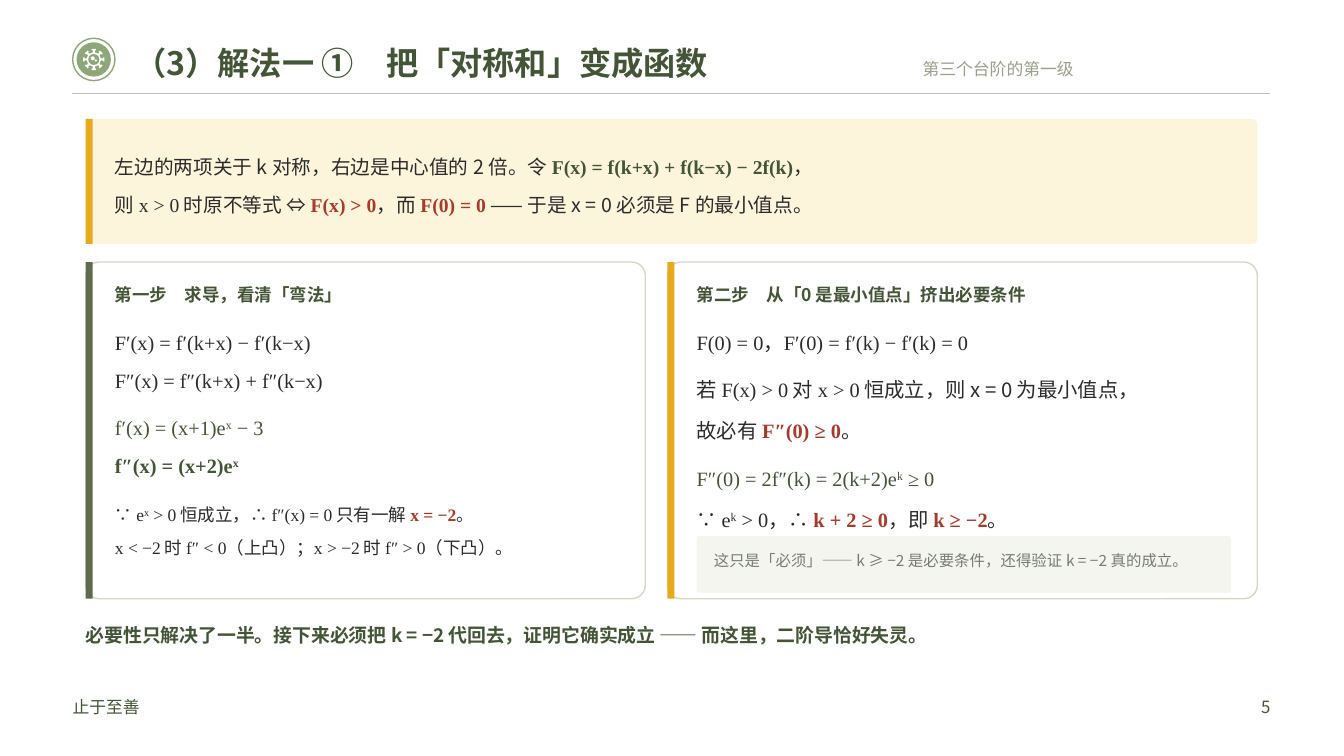
from dataclasses import dataclass
from math import cos, pi, sin

from lxml.etree import SubElement
from pptx import Presentation
from pptx.dml.color import RGBColor
from pptx.enum.shapes import MSO_CONNECTOR, MSO_SHAPE
from pptx.enum.text import MSO_ANCHOR, MSO_AUTO_SIZE, PP_ALIGN
from pptx.oxml.ns import qn
from pptx.util import Inches, Pt

COLORS = {
    "green": "445437", "moss": "5E6B4E", "leaf": "8DA778", "ink": "2B2B2B",
    "red": "A63A2B", "gold": "E8A91C", "cream": "FDF4DC", "white": "FFFFFF",
    "border": "D5D8C7", "rule": "BFBFBF", "mist": "F4F5EE",
    "muted": "767D6E", "hint": "9A9F8E",
}
SANS, SERIF = "Noto Sans CJK SC", "Times New Roman"


@dataclass(frozen=True)
class Piece:
    text: str
    color: str = "ink"
    bold: bool = False
    font: str = SANS
    raised: bool = False


@dataclass(frozen=True)
class Line:
    pieces: list[Piece]
    size: float
    spacing: float = 1.28
    before: float = 0


@dataclass(frozen=True)
class Card:
    left: float
    width: float
    accent: str
    lines: list[Line]


def math(text: str, color: str = "ink", bold: bool = False) -> Piece:
    return Piece(text, color, bold, SERIF)


def power(text: str, color: str = "ink", bold: bool = False) -> Piece:
    return Piece(text, color, bold, SERIF, True)


def key(text: str) -> Piece:
    return math(text, "red", True)


def heading(text: str, size: float = 12.5) -> Line:
    return Line([Piece(text, "green", True)], size)


def rgb(color: str) -> RGBColor:
    return RGBColor.from_string(COLORS[color])


def paint(shape, fill: str | None, outline: str | None = None) -> None:
    shape.shadow.inherit = False
    if fill:
        shape.fill.solid()
        shape.fill.fore_color.rgb = rgb(fill)
    else:
        shape.fill.background()
    if outline:
        shape.line.color.rgb = rgb(outline)
        shape.line.width = Pt(1)
    else:
        shape.line.fill.background()


def add_block(kind: MSO_SHAPE, left: float, top: float, width: float, height: float,
              fill: str | None, outline: str | None = None) -> None:
    block = slide.shapes.add_shape(kind, Inches(left), Inches(top), Inches(width), Inches(height))
    if kind == MSO_SHAPE.ROUNDED_RECTANGLE:
        block.adjustments[0] = 0.04
    paint(block, fill, outline)


def add_text(left: float, top: float, width: float, height: float, lines: list[Line],
             align: PP_ALIGN = PP_ALIGN.LEFT, anchor: MSO_ANCHOR = MSO_ANCHOR.TOP,
             inset: float = 0) -> None:
    frame = slide.shapes.add_textbox(
        Inches(left), Inches(top), Inches(width), Inches(height)).text_frame
    frame.word_wrap = True
    frame.auto_size = MSO_AUTO_SIZE.SHAPE_TO_FIT_TEXT
    frame.vertical_anchor = anchor
    frame.margin_left = frame.margin_right = 0
    frame.margin_top = frame.margin_bottom = Inches(inset)
    for index, line in enumerate(lines):
        paragraph = frame.add_paragraph() if index else frame.paragraphs[0]
        paragraph.alignment = align
        paragraph.line_spacing = line.spacing
        if line.before:
            paragraph.space_before = Pt(line.before)
        for piece in line.pieces:
            run = paragraph.add_run()
            run.text = piece.text
            run.font.size = Pt(line.size)
            run.font.bold = piece.bold
            run.font.color.rgb = rgb(piece.color)
            run.font.name = piece.font
            properties = run._r.get_or_add_rPr()
            SubElement(properties, qn("a:ea")).set("typeface", piece.font)
            if piece.raised:
                properties.set("baseline", "30000")


def add_disc(x: float, y: float, radius: float, fill: str | None, outline: str | None = None) -> None:
    add_block(MSO_SHAPE.OVAL, x - radius, y - radius, 2 * radius, 2 * radius, fill, outline)


def add_wheel(x: float, y: float) -> None:
    """Draw a hub with eight T-shaped spokes inside a ringed disc."""
    add_disc(x, y, 0.21, None, "leaf")
    add_disc(x, y, 0.17, "leaf")
    spoke = [(0.07, -0.01), (0.09, -0.01), (0.09, -0.02), (0.105, -0.02),
             (0.105, 0.02), (0.09, 0.02), (0.09, 0.01), (0.07, 0.01)]
    rim = [(Inches(x + r * cos(a) - t * sin(a)), Inches(y + r * sin(a) + t * cos(a)))
           for a in (step * pi / 4 for step in range(8)) for r, t in spoke]
    builder = slide.shapes.build_freeform(*rim[0])
    builder.add_line_segments(rim[1:], close=True)
    paint(builder.convert_to_shape(), "white")
    add_disc(x, y, 0.055, "leaf")
    add_disc(x - 0.01, y - 0.01, 0.02, "white")
    add_disc(x + 0.02, y + 0.01, 0.01, "white")


deck = Presentation()
deck.slide_width, deck.slide_height = Inches(13.33), Inches(7.5)
slide = deck.slides.add_slide(deck.slide_layouts[6])

# Header
add_wheel(0.93, 0.59)
header_rule = slide.shapes.add_connector(
    MSO_CONNECTOR.STRAIGHT, Inches(0.71), Inches(0.93), Inches(12.6), Inches(0.93))
header_rule.line.color.rgb = rgb("rule")
header_rule.line.width = Pt(0.5)
SubElement(header_rule._element.spPr, qn("a:effectLst"))
add_text(1.33, 0.38, 9.76, 0.44,
         [Line([Piece("（3）解法一 ①　把「对称和」变成函数", "green", True)], 23, 1)], inset=0.05)
add_text(7.1, 0.53, 3.55, 0.3, [Line([Piece("第三个台阶的第一级", "hint")], 12)], PP_ALIGN.RIGHT)

# Definition of F
add_block(MSO_SHAPE.ROUNDED_RECTANGLE, 0.85, 1.18, 11.62, 1.24, "cream")
add_block(MSO_SHAPE.RECTANGLE, 0.85, 1.18, 0.07, 1.24, "gold")
add_text(1.14, 1.18, 11, 1.24, [
    Line([Piece("左边的两项关于 k 对称，右边是中心值的 2 倍。令 "),
          math("F(x) = f(k+x) + f(k−x) − 2f(k)", "green", True), Piece("，")], 14, 1.36),
    Line([Piece("则 "), math("x > 0"), Piece(" 时原不等式 ⇔ "), key("F(x) > 0"), Piece("，而 "),
          key("F(0) = 0"), Piece(" —— 于是 x = 0 必须是 F 的最小值点。")], 14, 1.36, 4),
], anchor=MSO_ANCHOR.MIDDLE)

# Two steps
derivatives = Card(0.85, 5.55, "moss", [
    heading("第一步　求导，看清「弯法」"),
    Line([math("F′(x) = f′(k+x) − f′(k−x)")], 14.5, 1.5, 9),
    Line([math("F″(x) = f″(k+x) + f″(k−x)")], 14.5, 1.5, 1),
    Line([math("f′(x) = (x+1)e", "green"), power("x", "green"), math(" − 3", "green")], 14.5, 1.5, 8),
    Line([math("f″(x) = (x+2)e", "green", True), power("x", "green", True)], 14.5, 1.5, 1),
    Line([Piece("∵ "), math("e"), power("x"), math(" > 0"), Piece(" 恒成立，∴ "),
          math("f″(x) = 0"), Piece(" 只有一解 "), key("x = −2"), Piece("。")], 12.5, 1.38, 13),
    Line([math("x < −2"), Piece(" 时 "), math("f″ < 0"), Piece("（上凸）；"),
          math("x > −2"), Piece(" 时 "), math("f″ > 0"), Piece("（下凸）。")], 12.5, 1.38, 3),
])
necessity = Card(6.62, 5.85, "gold", [
    heading("第二步　从「0 是最小值点」挤出必要条件"),
    Line([math("F(0) = 0"), Piece("，"), math("F′(0) = f′(k) − f′(k) = 0")], 14.5, 1.5, 9),
    Line([Piece("若 "), math("F(x) > 0"), Piece(" 对 "), math("x > 0"),
          Piece(" 恒成立，则 x = 0 为最小值点，")], 14.5, 1.5, 8),
    Line([Piece("故必有 "), key("F″(0) ≥ 0"), Piece("。")], 14.5, 1.5, 3),
    Line([math("F″(0) = 2f″(k) = 2(k+2)e", "green"), power("k", "green"),
          math(" ≥ 0", "green")], 14.5, 1.5, 8),
    Line([Piece("∵ "), math("e"), power("k"), math(" > 0"), Piece("，∴ "), key("k + 2 ≥ 0"),
          Piece("，即 "), key("k ≥ −2"), Piece("。")], 14.5, 1.5, 3),
])
for card in (derivatives, necessity):
    add_block(MSO_SHAPE.ROUNDED_RECTANGLE, card.left, 2.6, card.width, 3.34, "white", "border")
    add_block(MSO_SHAPE.RECTANGLE, card.left, 2.6, 0.07, 3.34, card.accent)
    add_text(card.left + 0.29, 2.76, card.width - 0.55, 3.1, card.lines)

# Caveat and conclusion
add_block(MSO_SHAPE.ROUNDED_RECTANGLE, 6.91, 5.32, 5.3, 0.56, "mist")
add_text(7.08, 5.42, 4.98, 0.42, [
    Line([Piece("这只是「必须」—— k ≥ −2 是必要条件，还得验证 k = −2 真的成立。", "muted")], 11)])
add_text(0.85, 6.12, 11.62, 0.4, [heading(
    "必要性只解决了一半。接下来必须把 k = −2 代回去，证明它确实成立 —— 而这里，二阶导恰好失灵。", 13.5)])

# Footer
add_text(0.72, 6.86, 2.2, 0.32, [Line([Piece("止于至善", "green")], 12)])
add_text(11.2, 6.86, 1.4, 0.32, [Line([Piece("5", "green")], 12)], PP_ALIGN.RIGHT)

deck.save("out.pptx")
